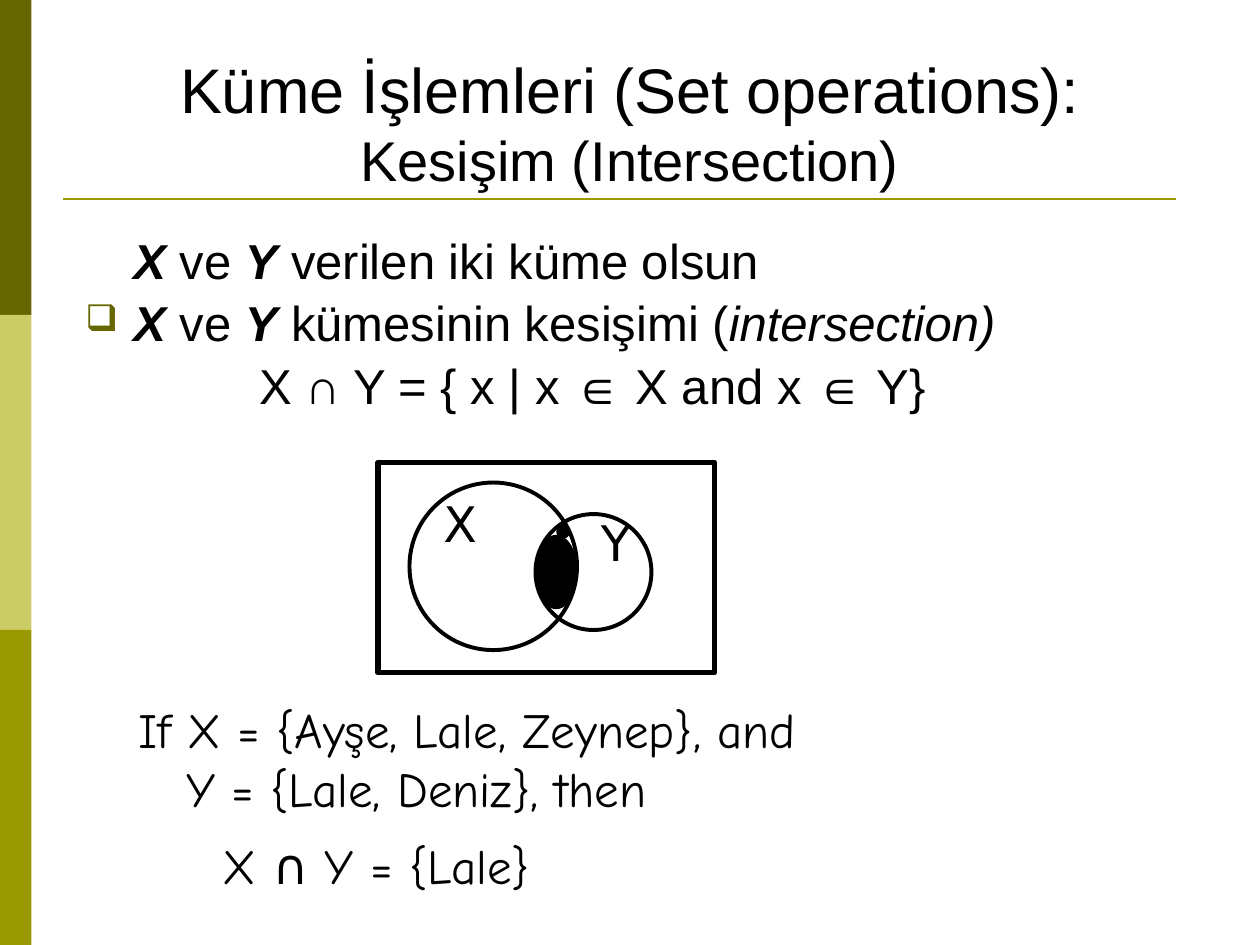
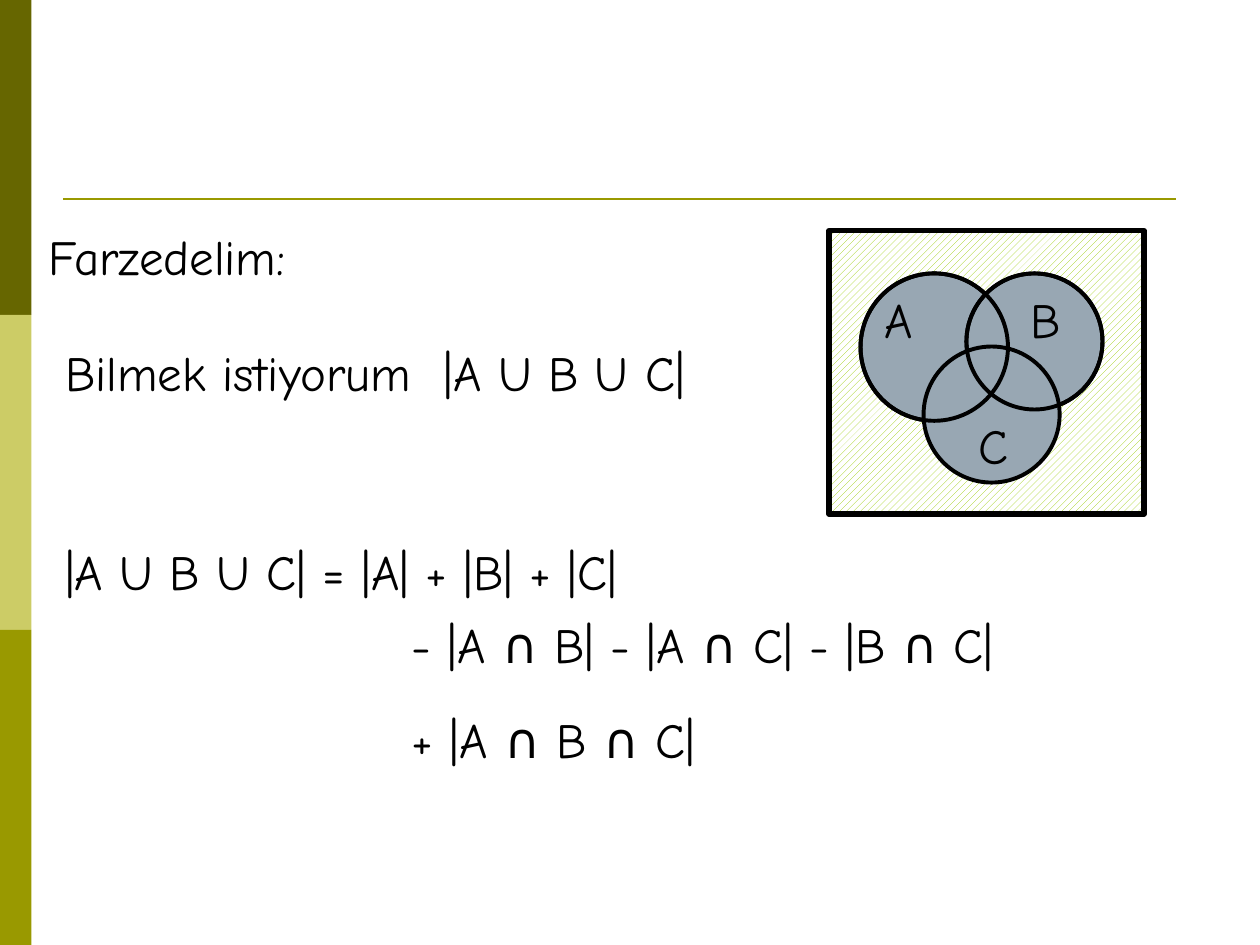
"""Build two slides on set operations: intersection and a union of three sets."""
from dataclasses import dataclass

from lxml.etree import SubElement
from pptx import Presentation
from pptx.dml.color import RGBColor
from pptx.enum.dml import MSO_PATTERN
from pptx.enum.shapes import MSO_CONNECTOR, MSO_SHAPE
from pptx.enum.text import MSO_ANCHOR, PP_ALIGN
from pptx.oxml.ns import qn
from pptx.util import Inches, Pt

COLORS = {
    "ink": "000000",
    "paper": "FFFFFF",
    "dark": "666600",
    "pale": "CCCC66",
    "olive": "999900",
    "hatch": "99CC00",
    "set": "98A7B3",
}
BANDS = ("dark", "pale", "olive")
HAND, SANS, SYMBOL = "Comic Neue", "Arial", "DejaVu Sans"
BODY_SIZE = 28
HANG = 0.38


@dataclass
class Label:
    text: str
    left: float
    top: float
    width: float
    height: float
    font: str = HAND
    line_spacing: float = 1.0
    space_before: float = 0
    hang: float = 0


@dataclass
class Figure:
    left: float
    top: float
    width: float
    height: float
    fill: str | None = None
    line: str | None = "ink"
    weight: float = 2.25
    kind: MSO_SHAPE = MSO_SHAPE.OVAL


@dataclass
class BodyLine:
    runs: tuple[tuple[str, str], ...]
    indent: float = HANG
    bullet: str | None = None


BODY = (
    BodyLine((("X", "bi"), (" ve ", ""), ("Y", "bi"), (" verilen iki küme olsun", ""))),
    BodyLine((("X", "bi"), (" ve ", ""), ("Y", "bi"), (" kümesinin kesişimi (", ""),
              ("intersection)", "i")), bullet="❑"),
    BodyLine((("X ∩ Y = { x | x ∈ X and x ∈ Y}", ""),), indent=1.38),
)

DOT = 0.1
DOT_SPOTS = ((4.42, 4.5), (4.33, 4.67), (4.42, 4.17), (4.33, 4.33), (4.33, 4.49))
INTERSECTION_FIGURES = (
    Figure(3, 3.67, 2.67, 1.67, weight=3, kind=MSO_SHAPE.RECTANGLE),
    Figure(3.25, 3.83, 1.33, 1.33),
    Figure(4.25, 4.25, 0.33, 0.58, fill="ink", weight=0.75),
    *(Figure(x, y, DOT, DOT, fill="ink", weight=0.75) for x, y in DOT_SPOTS),
    Figure(4.25, 4.08, 0.92, 0.92),
)
INTERSECTION_LABELS = (
    Label("Y", 4.67, 4.07, 0.42, 0.5, font=SYMBOL, line_spacing=0.9),
    Label("X", 3.42, 3.92, 0.5, 0.58, font=SYMBOL, line_spacing=0.9),
    Label("If X = {Ayşe, Lale, Zeynep}, and Y = {Lale, Deniz}, then",
          1, 5.5, 5.5, 0.92, space_before=5.6, hang=HANG),
    Label("X ∩ Y = {Lale}", 1.67, 6.58, 6.58, 0.58, space_before=5.6),
)

CIRCLE_A = (6.83, 2.17, 1.17, 1.17)
CIRCLE_B = (7.67, 2.17, 1.08, 1.08)
CIRCLE_C = (7.33, 2.75, 1.08, 1.08)
UNION_FIGURES = (
    Figure(6.58, 1.83, 2.5, 2.25, fill="hatch", weight=3, kind=MSO_SHAPE.RECTANGLE),
    *(Figure(*circle, fill="set") for circle in (CIRCLE_A, CIRCLE_B, CIRCLE_C)),
    *(Figure(*circle) for circle in (CIRCLE_B, CIRCLE_A)),
)
UNION_LABELS = (
    Label("Farzedelim:", 0.29, 1.75, 3.63, 0.67),
    Label("Bilmek istiyorum  |A U B U C|", 0.42, 2.67, 7.17, 1.25),
    Label("|A U B U C| = |A| + |B| + |C|", 0.42, 4.25, 5.42, 0.58),
    Label("- |A ∩ B| - |A ∩ C| - |B ∩ C|", 3.17, 4.83, 5.75, 0.58),
    Label("+ |A ∩ B ∩ C|", 3.17, 5.58, 3.42, 0.67),
    Label("A", 6.92, 2.25, 0.5, 0.58),
    Label("B", 8.08, 2.25, 0.5, 0.58),
    Label("C", 7.67, 3.25, 0.5, 0.58),
)


def rgb(name: str) -> RGBColor:
    return RGBColor.from_string(COLORS[name])


def style_run(r, font: str, size: float = BODY_SIZE, style: str = "") -> None:
    r.font.name = font
    r.font.size = Pt(size)
    r.font.bold = "b" in style
    r.font.italic = "i" in style
    r.font.color.rgb = rgb("ink")


def set_indent(p, left: float, first: float) -> None:
    pPr = p._p.get_or_add_pPr()
    pPr.set("marL", str(Inches(left)))
    pPr.set("indent", str(Inches(first)))


def add_bullet(p, char: str) -> None:
    pPr = p._p.get_or_add_pPr()
    color = SubElement(pPr, qn("a:buClr"))
    SubElement(color, qn("a:srgbClr"), val=COLORS["dark"])
    SubElement(pPr, qn("a:buSzPct"), val="75000")
    SubElement(pPr, qn("a:buChar"), char=char)


def add_text_frame(s, left: float, top: float, width: float, height: float):
    sp = s.shapes.add_textbox(Inches(left), Inches(top), Inches(width), Inches(height))
    sp.text_frame.word_wrap = True
    return sp.text_frame


def draw_figure(s, figure: Figure) -> None:
    sp = s.shapes.add_shape(figure.kind, Inches(figure.left), Inches(figure.top),
                            Inches(figure.width), Inches(figure.height))
    sp.shadow.inherit = False
    if figure.fill is None:
        sp.fill.background()
    elif figure.fill == "hatch":
        sp.fill.patterned()
        sp.fill.pattern = MSO_PATTERN.WIDE_UPWARD_DIAGONAL
        sp.fill.fore_color.rgb = rgb("hatch")
        sp.fill.back_color.rgb = rgb("paper")
    else:
        sp.fill.solid()
        sp.fill.fore_color.rgb = rgb(figure.fill)
    if figure.line is None:
        sp.line.fill.background()
    else:
        sp.line.color.rgb = rgb(figure.line)
        sp.line.width = Pt(figure.weight)


def draw_label(s, label: Label) -> None:
    tf = add_text_frame(s, label.left, label.top, label.width, label.height)
    tf.text = label.text
    p = tf.paragraphs[0]
    p.line_spacing = label.line_spacing
    p.space_before = Pt(label.space_before)
    set_indent(p, label.hang, -label.hang)
    style_run(p.runs[0], label.font)


def draw_title(s, main: str, sub: str) -> None:
    tf = add_text_frame(s, 0.5, 0.3, 9, 1.28)
    tf.vertical_anchor = MSO_ANCHOR.BOTTOM
    tf.text = f"{main}\v{sub}"
    p = tf.paragraphs[0]
    p.alignment = PP_ALIGN.CENTER
    for r, size in zip(p.runs, (36, 32)):
        style_run(r, SANS, size)


def draw_body(s, lines: tuple[BodyLine, ...]) -> None:
    tf = add_text_frame(s, 0.58, 1.83, 8.92, 1.83)
    for i, line in enumerate(lines):
        p = tf.add_paragraph() if i else tf.paragraphs[0]
        p.line_spacing = 0.9
        p.space_before = Pt(5.6)
        set_indent(p, line.indent, -HANG if line.bullet else 0)
        if line.bullet:
            add_bullet(p, line.bullet)
        for text, style in line.runs:
            r = p.add_run()
            r.text = text
            style_run(r, SANS, style=style)


def add_base_slide(prs):
    s = prs.slides.add_slide(prs.slide_layouts[6])
    for i, name in enumerate(BANDS):
        draw_figure(s, Figure(0, 2.5 * i, 0.25, 2.5, fill=name, line=None,
                              kind=MSO_SHAPE.RECTANGLE))
    rule = s.shapes.add_connector(MSO_CONNECTOR.STRAIGHT, Inches(0.5), Inches(1.58),
                                  Inches(9.33), Inches(1.58))
    rule.line.color.rgb = rgb("olive")
    rule.line.width = Pt(1.5)
    SubElement(rule._element.spPr, qn("a:effectLst"))
    return s


def draw_diagram(s, figures: tuple[Figure, ...], labels: tuple[Label, ...]) -> None:
    for figure in figures:
        draw_figure(s, figure)
    for label in labels:
        draw_label(s, label)


def main() -> None:
    prs = Presentation()
    prs.slide_width, prs.slide_height = Inches(10), Inches(7.5)

    s = add_base_slide(prs)
    draw_body(s, BODY)
    draw_title(s, "Küme İşlemleri (Set operations):", "Kesişim (Intersection)")
    draw_diagram(s, INTERSECTION_FIGURES, INTERSECTION_LABELS)

    s = add_base_slide(prs)
    draw_diagram(s, UNION_FIGURES, UNION_LABELS)

    prs.save("out.pptx")


if __name__ == "__main__":
    main()
